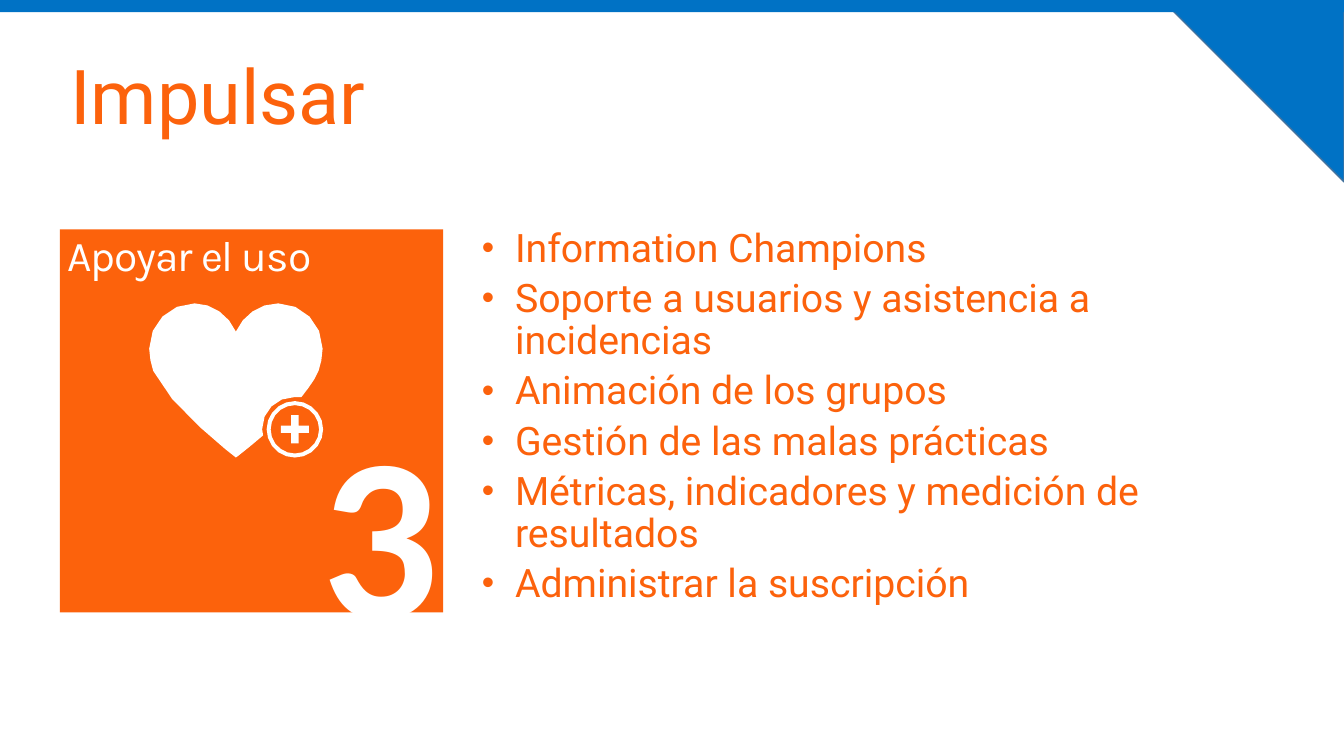
from math import cos, dist, pi, sin

from lxml.etree import SubElement
from pptx import Presentation
from pptx.dml.color import RGBColor
from pptx.enum.shapes import MSO_SHAPE
from pptx.enum.text import MSO_ANCHOR, PP_ALIGN
from pptx.oxml.ns import qn
from pptx.util import Emu, Inches, Pt

BLUE = RGBColor(0x00, 0x72, 0xC5)
DARK_BLUE = RGBColor(0x43, 0x73, 0x9E)
ORANGE = RGBColor(0xFC, 0x62, 0x0C)
WHITE = RGBColor(0xFF, 0xFF, 0xFF)

deck = Presentation()
deck.slide_width, deck.slide_height = Inches(13.33), Inches(7.5)
page = deck.slides.add_slide(deck.slide_layouts[6])

# The slide is a square grid of 1333 columns by 750 rows.
CELL = deck.slide_height // 750


def add_filled_shape(shapes, kind, cells, color):
    """Add a flat preset shape; cells holds left, top, width and height."""
    shape = shapes.add_shape(kind, *(Emu(round(CELL * cell)) for cell in cells))
    shape.shadow.inherit = False
    shape.fill.solid()
    shape.fill.fore_color.rgb = color
    shape.line.fill.background()
    return shape


def write_lines(box, lines, frame_format, para_format, font_format, color):
    """Write one paragraph per line and return the paragraphs."""
    frame = box.text_frame
    for name, value in frame_format.items():
        setattr(frame, name, value)
    frame.text = "\n".join(lines)
    for para in frame.paragraphs:
        for name, value in para_format.items():
            setattr(para, name, value)
        for span in para.runs:
            for name, value in font_format.items():
                setattr(span.font, name, value)
            span.font.color.rgb = color
    return frame.paragraphs


# Corner and top band
corner = add_filled_shape(page.shapes, MSO_SHAPE.RIGHT_TRIANGLE, (1152.5, 0, 180.5, 180.5), BLUE)
corner.rotation = 180
corner.line.color.rgb = DARK_BLUE
corner.line.width = Pt(1)
add_filled_shape(page.shapes, MSO_SHAPE.RECTANGLE, (0, 0, 1333, 12), BLUE)

# Title
title = page.shapes.add_textbox(*(Emu(CELL * cell) for cell in (60, 54, 1000, 91)))
write_lines(title, ["Impulsar"], {"word_wrap": True}, {"line_spacing": 0.9},
            {"name": "Roboto", "size": Pt(54)}, ORANGE)

# Bullet list
TOPICS = [
    "Information Champions",
    "Soporte a usuarios y asistencia a incidencias",
    "Animación de los grupos",
    "Gestión de las malas prácticas",
    "Métricas, indicadores y medición de resultados",
    "Administrar la suscripción",
]
topics = page.shapes.add_textbox(*(Emu(CELL * cell) for cell in (468, 166, 799, 496)))
topic_paras = write_lines(
    topics, TOPICS, {"word_wrap": True, "vertical_anchor": MSO_ANCHOR.MIDDLE},
    {"line_spacing": 0.9}, {"name": "Roboto", "size": Pt(28)}, ORANGE)
for index, para in enumerate(topic_paras):
    if index:
        para.space_before = Pt(5.6)
    properties = para._p.get_or_add_pPr()
    properties.set("marL", str(Inches(0.33)))
    properties.set("indent", str(-Inches(0.33)))
    SubElement(properties, qn("a:buSzPct"), val="90000")
    SubElement(properties, qn("a:buFont"), typeface="Arial")
    SubElement(properties, qn("a:buChar"), char="•")

# Card with label, number and heart
card = page.shapes.add_group_shape()
tile = add_filled_shape(card.shapes, MSO_SHAPE.RECTANGLE, (59.5, 227.5, 380, 380), ORANGE)
label_paras = write_lines(
    tile, ["Apoyar el uso"],
    {"word_wrap": True, "vertical_anchor": MSO_ANCHOR.TOP, "margin_left": Inches(0.07),
     "margin_top": Inches(0.05), "margin_right": Inches(0.1), "margin_bottom": Inches(0.1)},
    {"line_spacing": 0.9, "alignment": PP_ALIGN.LEFT},
    {"name": "Karla", "size": Pt(30.4)}, WHITE)

number = card.shapes.add_textbox(*(Emu(CELL * cell) for cell in (319, 383, 133, 279)))
no_margins = {f"margin_{side}": 0 for side in ("left", "top", "right", "bottom")}
number_paras = write_lines(number, ["3"], {"word_wrap": False, **no_margins}, {},
                           {"name": "Calibri", "size": Pt(165.7), "bold": True}, WHITE)
for para in (*label_paras, *number_paras):
    para.runs[0]._r.get_or_add_rPr().set("spc", "-70")

# Heart outline: each curve has two control points and an end point.
HEART_START = (260, 426)
HEART_CURVES = [
    ((260, 428), (260, 430), (261, 432)),
    ((246, 445), (234, 454), (234, 454)),
    ((234, 454), (166, 402), (152, 368)),
    ((150, 362), (148, 353), (148, 346)),
    ((148, 321), (168, 301), (193, 301)),
    ((211, 301), (227, 313), (234, 329)),
    ((241, 313), (257, 301), (276, 301)),
    ((300, 301), (320, 321), (320, 346)),
    ((320, 354), (318, 362), (316, 368)),
    ((313, 376), (306, 385), (299, 394)),
    ((296, 394), (294, 394), (292, 394)),
    ((274, 394), (260, 408), (260, 426)),
]
heart = [HEART_START]
for first, second, end in HEART_CURVES:
    start = heart[-1]
    steps = min(4, max(1, round(dist(start, end) / 9)))
    for step in range(1, steps + 1):
        t = step / steps
        heart.append(tuple(
            (1 - t) ** 3 * a + 3 * (1 - t) ** 2 * t * b + 3 * (1 - t) * t ** 2 * c + t ** 3 * d
            for a, b, c, d in zip(start, first, second, end)))
heart.pop()

# Badge: a ring and a plus sign around one centre
BADGE_X, BADGE_Y = 292.5, 426
RING_POINTS = 20
rings = [
    [(BADGE_X + radius * cos(2 * pi * step / RING_POINTS),
      BADGE_Y + radius * sin(2 * pi * step / RING_POINTS)) for step in range(RING_POINTS)]
    for radius in (28, 24)
]
ARM, HALF = 14, 3.6
plus = [(HALF, -HALF), (ARM, -HALF), (ARM, HALF)]
for turn in range(3):
    plus += [(-y, x) for x, y in plus[-3:]]
plus = [(BADGE_X + x, BADGE_Y + y) for x, y in plus]

builder = None
for outline in (heart, *rings, plus):
    points = [(round(CELL * x), round(CELL * y)) for x, y in outline]
    if builder is None:
        builder = card.shapes.build_freeform(*points[0])
    else:
        builder.move_to(*points[0])
    builder.add_line_segments(points[1:], close=True)
icon = builder.convert_to_shape()
icon.shadow.inherit = False
icon.fill.solid()
icon.fill.fore_color.rgb = WHITE
icon.line.fill.background()

deck.save("out.pptx")
